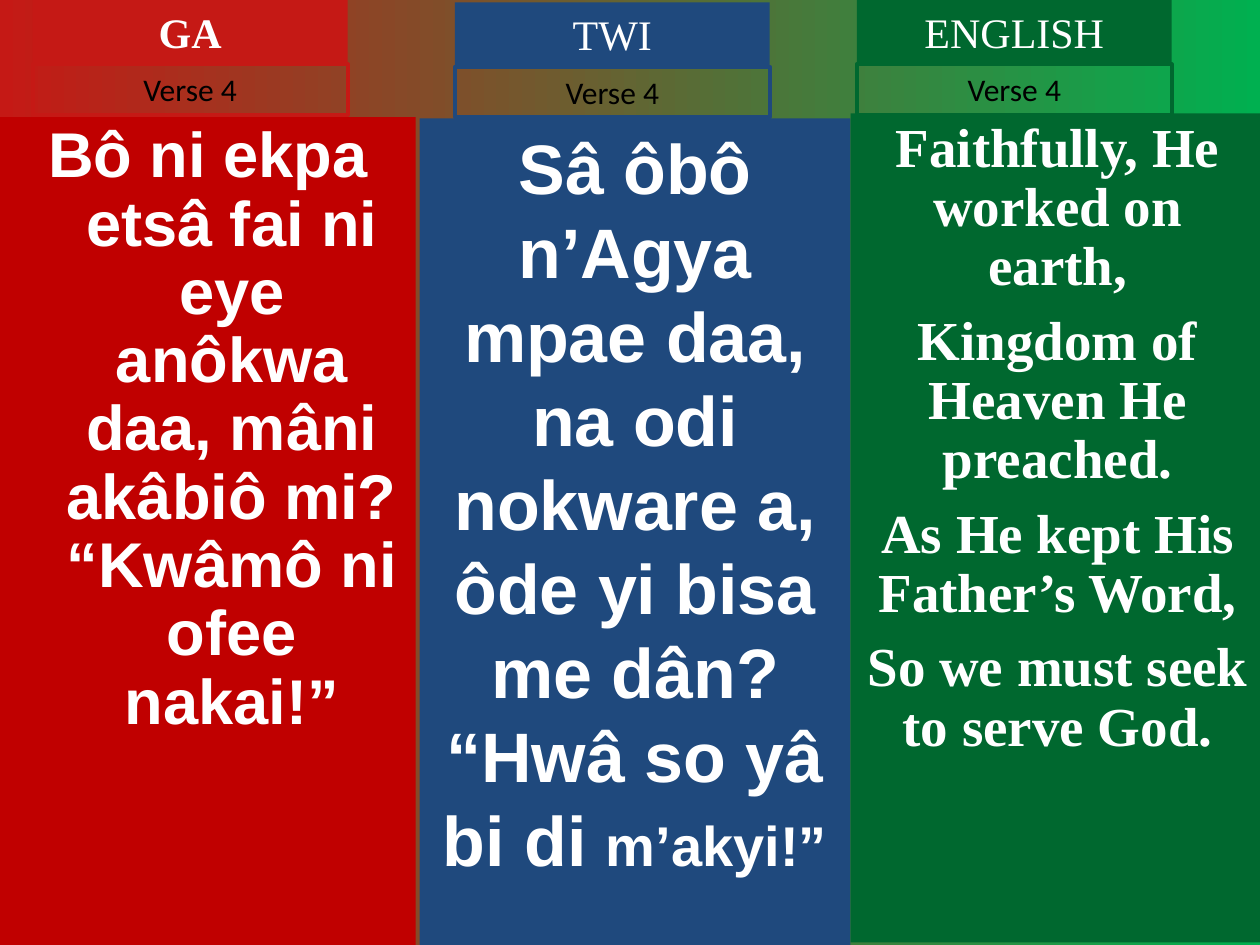
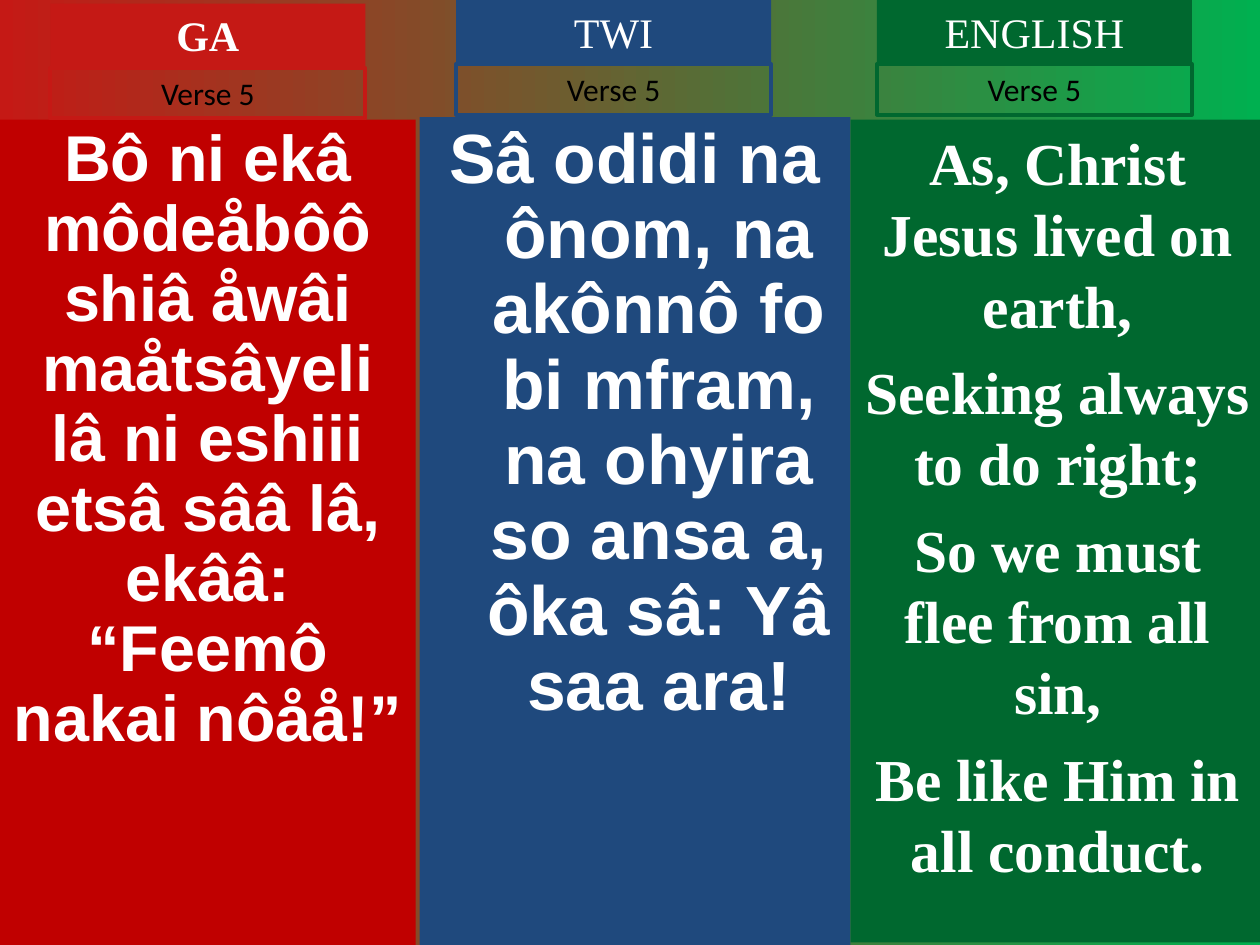
from dataclasses import dataclass
from pptx import Presentation
from pptx.dml.color import RGBColor
from pptx.enum.shapes import MSO_SHAPE
from pptx.enum.text import MSO_ANCHOR, MSO_AUTO_SIZE, PP_ALIGN
from pptx.util import Inches, Pt


@dataclass(frozen=True)
class Theme:
    white: str = "FFFFFF"
    black: str = "000000"
    fade_from: str = "C51915"
    fade_to: str = "00B050"
    serif: str = "Times New Roman"
    sans: str = "Arial"
    label: str = "Calibri"
    heading_size: float = 24
    verse_size: float = 18
    frame_width: float = 2.25


@dataclass(frozen=True)
class Language:
    name: str
    left: float
    width: float
    bottom: float
    panel: str
    accent: str
    font: str
    bold_heading: bool = False


@dataclass(frozen=True)
class Lyrics:
    lines: tuple
    size: float
    panel_top: float
    heading_at: tuple
    spacing: float = 1.0
    before: float = 0
    hanging: float = 0
    ending: str = ""
    ending_size: float = 0


THEME = Theme()
HEADING_W, HEADING_H = 2.5, 0.5
VERSE_DROP, VERSE_H = 0.51, 0.4

LANGUAGES = (
    Language("GA", 0, 3.3, 7.5, "C00000", "C51915", THEME.sans, True),
    Language("TWI", 3.33, 3.42, 7.5, "1F497D", "1F497D", THEME.sans),
    Language("ENGLISH", 6.75, 3.29, 7.48, "00682F", "00682F", THEME.serif),
)

VERSES = {
    "Verse 4": (
        Lyrics(("Bô ni ekpa etsâ fai ni eye anôkwa daa, mâni akâbiô mi? “Kwâmô ni ofee nakai!”",),
               36.1, 0.93, (0.26, 0), 0.9, hanging=0.38),
        Lyrics(("Sâ ôbô n’Agya mpae daa, na odi nokware a, ôde yi bisa me dân? “Hwâ so yâ bi di ",),
               40, 0.94, (3.61, 0.02), ending="m’akyi!”", ending_size=32),
        Lyrics(("Faithfully, He worked on earth,", "Kingdom of Heaven He preached.",
                "As He kept His Father’s Word,", "So we must seek to serve God."),
               31.4, 0.9, (6.8, 0), 0.9, 8.5),
    ),
    "Verse 5": (
        Lyrics(("Bô ni ekâ môdeåbôô shiâ åwâi maåtsâyeli lâ ni eshiii etsâ sââ lâ, ekââ: “Feemô nakai nôåå!”",),
               37, 0.95, (0.4, 0.03), 0.9),
        Lyrics(("Sâ odidi na ônom, na akônnô fo bi mfram, na ohyira so ansa a, ôka sâ: Yâ saa ara!",),
               39.8, 0.93, (3.62, 0), 0.9, hanging=0.38),
        Lyrics(("As, Christ Jesus lived on earth,", "Seeking always to do right;",
                "So we must flee from all sin,", "Be like Him in all conduct."),
               34, 0.95, (6.96, 0), before=8.5),
    ),
}


def rgb(value):
    return RGBColor.from_string(value)


def style_run(r, font, size, color, bold=False):
    r.font.name = font
    r.font.size = Pt(size)
    r.font.bold = bold
    r.font.color.rgb = rgb(color)


def add_box(s, left, top, width, height, fill=None, line=None):
    sp = s.shapes.add_shape(MSO_SHAPE.RECTANGLE, Inches(left), Inches(top),
                            Inches(width), Inches(height))
    sp.shadow.inherit = False
    if fill:
        sp.fill.solid()
        sp.fill.fore_color.rgb = rgb(fill)
    else:
        sp.fill.background()
    if line:
        sp.line.color.rgb = rgb(line)
        sp.line.width = Pt(THEME.frame_width)
    else:
        sp.line.fill.background()
    tf = sp.text_frame
    tf.word_wrap = True
    tf.vertical_anchor = MSO_ANCHOR.TOP
    return tf


def add_label(tf, text, font, size, color, bold=False):
    tf.auto_size = MSO_AUTO_SIZE.SHAPE_TO_FIT_TEXT
    tf.text = text
    p = tf.paragraphs[0]
    p.alignment = PP_ALIGN.CENTER
    style_run(p.runs[0], font, size, color, bold)


def add_panel(s, language, lyrics):
    tf = add_box(s, language.left, lyrics.panel_top, language.width,
                 language.bottom - lyrics.panel_top, fill=language.panel)
    for i, line in enumerate(lyrics.lines):
        p = tf.add_paragraph() if i else tf.paragraphs[0]
        p.text = line
        p.alignment = PP_ALIGN.CENTER
        p.line_spacing = lyrics.spacing
        p.space_before = Pt(lyrics.before if i else 0)
        if lyrics.hanging:
            pPr = p._p.get_or_add_pPr()
            pPr.set("marL", str(Inches(lyrics.hanging)))
            pPr.set("indent", str(-Inches(lyrics.hanging)))
        style_run(p.runs[0], language.font, lyrics.size, THEME.white, True)
    if lyrics.ending:
        r = p.add_run()
        r.text = lyrics.ending
        style_run(r, language.font, lyrics.ending_size, THEME.white, True)


def add_heading(s, language, verse, left, top):
    tf = add_box(s, left, top, HEADING_W, HEADING_H, fill=language.accent)
    add_label(tf, language.name, THEME.serif, THEME.heading_size, THEME.white,
              language.bold_heading)
    tf = add_box(s, left, top + VERSE_DROP, HEADING_W, VERSE_H, line=language.accent)
    add_label(tf, verse, THEME.label, THEME.verse_size, THEME.black)


def set_background(s):
    fill = s.background.fill
    fill.gradient()
    fill.gradient_angle = 0
    for stop, color in zip(fill.gradient_stops, (THEME.fade_from, THEME.fade_to)):
        stop.color.rgb = rgb(color)


def add_verse_slide(prs, verse, columns):
    s = prs.slides.add_slide(prs.slide_layouts[6])
    set_background(s)
    for language, lyrics in zip(LANGUAGES, columns):
        add_panel(s, language, lyrics)
        add_heading(s, language, verse, *lyrics.heading_at)


def main():
    prs = Presentation()
    prs.slide_width, prs.slide_height = Inches(10), Inches(7.5)
    for verse, columns in VERSES.items():
        add_verse_slide(prs, verse, columns)
    prs.save("out.pptx")


if __name__ == "__main__":
    main()
